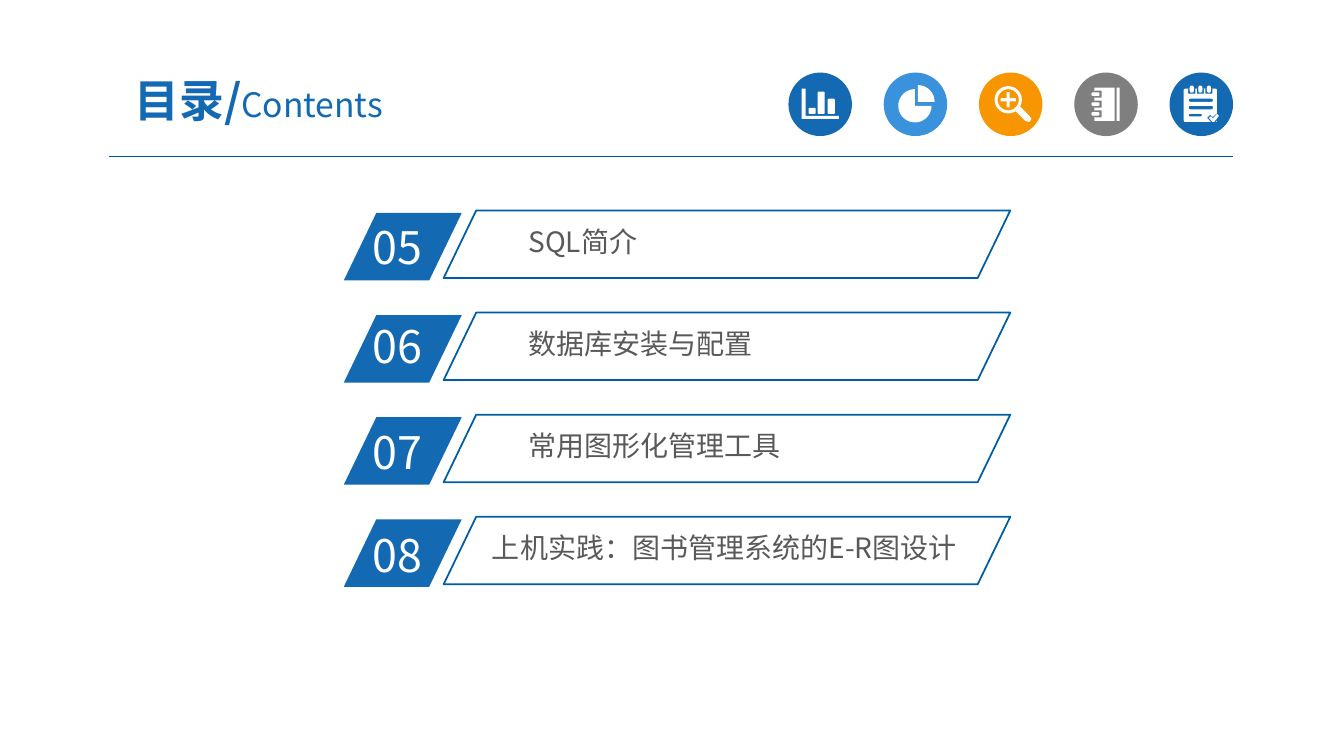
from dataclasses import dataclass
from math import cos, radians, sin

from lxml import etree
from pptx import Presentation
from pptx.dml.color import RGBColor
from pptx.enum.shapes import MSO_CONNECTOR, MSO_SHAPE
from pptx.enum.text import MSO_ANCHOR, MSO_AUTO_SIZE, PP_ALIGN
from pptx.oxml.ns import qn
from pptx.util import Inches, Pt

STRAIGHT = MSO_CONNECTOR.STRAIGHT
OVAL, SLANTED = MSO_SHAPE.OVAL, MSO_SHAPE.PARALLELOGRAM
MIDDLE, TOP = MSO_ANCHOR.MIDDLE, MSO_ANCHOR.TOP
CENTER, LEFT = PP_ALIGN.CENTER, PP_ALIGN.LEFT
FIT_SHAPE = MSO_AUTO_SIZE.SHAPE_TO_FIT_TEXT

CELL = Inches(0.1)  # the slide is a grid of 133.3 columns and 75 rows
COLUMNS, ROWS = 133.3, 75


@dataclass(frozen=True)
class Theme:
    font: str = "Noto Sans CJK SC"
    blue: str = "1369B2"
    sky: str = "3992DB"
    orange: str = "F79600"
    gray: str = "7F7F7F"
    white: str = "FFFFFF"
    body: str = "595959"
    outline: str = "005DA2"
    rule: str = "005B9E"
    large: int = 32
    medium: int = 24
    small: int = 20
    thin: float = 0.75
    thick: float = 1.25


THEME = Theme()


def cells(*values):
    return [round(value * CELL) for value in values]


def arc(x, y, radius, start, end, steps=12):
    """Points of a circular arc; degrees run clockwise from the right."""
    angles = [radians(start + (end - start) * step / steps) for step in range(steps + 1)]
    return [(x + radius * cos(angle), y + radius * sin(angle)) for angle in angles]


def box(left, top, right, bottom, radius=0.0):
    if not radius:
        return [(left, top), (right, top), (right, bottom), (left, bottom)]
    corners = [(right - radius, bottom - radius), (left + radius, bottom - radius),
               (left + radius, top + radius), (right - radius, top + radius)]
    return [point for quarter, (x, y) in enumerate(corners)
            for point in arc(x, y, radius, quarter * 90, quarter * 90 + 90, 4)]


# Each icon is a list of contours, in cells from the corner of its disc.
# A contour inside another one cuts a hole.
def bar_chart_icon():
    axes = [(1.3, 1.6), (1.7, 1.6), (1.7, 4.3), (5, 4.3), (5, 4.6), (1.3, 4.6)]
    bars = [(2, 3.5), (2.9, 1.9), (3.9, 2.6)]
    return [axes] + [box(left, top, left + 0.7, 4.1, 0.1) for left, top in bars]


def pie_chart_icon():
    return [[(3.4, 2.9)] + arc(3.4, 2.9, 1.65, -90, 0),
            [(3.1, 3.3)] + arc(3.1, 3.3, 1.65, 0, 270, 30)]


def magnifier_icon():
    x, y, arm, half = 2.9, 2.7, 0.75, 0.15
    plus = [(x - arm, y - half), (x - half, y - half), (x - half, y - arm),
            (x + half, y - arm), (x + half, y - half), (x + arm, y - half),
            (x + arm, y + half), (x + half, y + half), (x + half, y + arm),
            (x - half, y + arm), (x - half, y + half), (x - arm, y + half)]
    handle = [(3.6, 3.8), (4.1, 3.4), (5, 4.3), (5.2, 4.6), (5, 4.9), (4.6, 4.8)]
    return [arc(x, y, 1.35, 0, 360, 36), arc(x, y, 1.05, 0, 360, 36), plus, handle]


def notebook_icon():
    contours = [box(4.2, 1.5, 4.5, 4.8), box(2, 1.5, 4, 4.8)]
    for middle in (2.15, 3.13, 4.1):
        contours += [box(2, middle - 0.35, 2.7, middle + 0.35),
                     box(1.7, middle - 0.18, 2.5, middle + 0.18, 0.15)]
    return contours


def notepad_icon():
    contours = [box(1.4, 1.6, 4.7, 4.9, 0.15),
                box(1.9, 2.6, 4.3, 2.9, 0.14), box(1.9, 3.3, 4.3, 3.65, 0.15),
                box(1.9, 4.1, 3.2, 4.35, 0.12)]
    for middle in (2.2, 3.05, 3.9):
        contours += [box(middle - 0.35, 1.6, middle + 0.35, 2.1),
                     box(middle - 0.2, 1.3, middle + 0.2, 2, 0.18)]
    check_gap = [(3.7, 4.5), (4, 4.2), (4.3, 4.4), (4.7, 4), (4.7, 4.9), (4.1, 4.9)]
    check = [(3.9, 4.5), (4.1, 4.35), (4.3, 4.55), (4.7, 4.1), (4.9, 4.3), (4.4, 4.9), (4.25, 4.9)]
    return contours + [check_gap, check]


class ContentsSlide:
    def __init__(self, presentation, theme):
        self.theme = theme
        self.shapes = presentation.slides.add_slide(presentation.slide_layouts[6]).shapes

    def paint(self, shape, fill=None, line=None):
        shape.shadow.inherit = False
        if fill:
            shape.fill.solid()
            shape.fill.fore_color.rgb = RGBColor.from_string(fill)
        else:
            shape.fill.background()
        if line:
            shape.line.color.rgb = RGBColor.from_string(line)
            shape.line.width = Pt(self.theme.thick)
        else:
            shape.line.fill.background()

    def preset(self, kind, place, fill=None, line=None, adjustment=None):
        shape = self.shapes.add_shape(kind, *cells(*place))
        if adjustment is not None:
            shape.adjustments[0] = adjustment
        self.paint(shape, fill, line)

    def icon(self, left, top, contours):
        start, *others = [[cells(left + x, top + y) for x, y in contour] for contour in contours]
        builder = self.shapes.build_freeform(*start[0])
        builder.add_line_segments(start[1:], close=True)
        for contour in others:
            builder.move_to(*contour[0])
            builder.add_line_segments(contour[1:], close=True)
        self.paint(builder.convert_to_shape(), self.theme.white)

    def rule(self, left, right, row):
        connector = self.shapes.add_connector(STRAIGHT, *cells(left, row, right, row))
        connector.line.color.rgb = RGBColor.from_string(self.theme.rule)
        connector.line.width = Pt(self.theme.thin)
        etree.SubElement(connector._element.spPr, qn("a:effectLst"))

    def text(self, place, runs, color, insets=(1, 0.5), space_before=0, align=LEFT, **frame_format):
        """Add a one-paragraph text box; runs are (text, size, bold)."""
        frame = self.shapes.add_textbox(*cells(*place)).text_frame
        across, down = cells(*insets)
        values = {"word_wrap": True, "vertical_anchor": TOP, "margin_left": across,
                  "margin_right": across, "margin_top": down, "margin_bottom": down}
        for name, value in {**values, **frame_format}.items():
            setattr(frame, name, value)
        paragraph = frame.paragraphs[0]
        paragraph.alignment = align
        paragraph.space_before = Pt(space_before)
        for text, size, bold in runs:
            run = paragraph.add_run()
            run.text = text
            for name, value in {"name": self.theme.font, "size": Pt(size), "bold": bold}.items():
                setattr(run.font, name, value)
            run.font.color.rgb = RGBColor.from_string(color)
            latin = run.font._element.find(qn("a:latin"))
            latin.addnext(latin.makeelement(qn("a:ea"), {"typeface": self.theme.font}))

    def entry(self, row, number, number_shift, label, label_left, label_width):
        theme = self.theme
        self.preset(SLANTED, (34.1, row, 11.7, 6.7), fill=theme.blue, adjustment=0.482)
        self.text((36, row + number_shift, 11.2, 6.4), [(number, theme.large, False)],
                  theme.white, auto_size=FIT_SHAPE)
        self.text((label_left, row + 0.75, label_width, 4.1), [(label, theme.small, False)],
                  theme.body, insets=(0.7, 0.4), auto_size=FIT_SHAPE)
        self.preset(SLANTED, (44, row - 0.25, 56.2, 6.7), line=theme.outline, adjustment=0.482)


def main():
    presentation = Presentation()
    presentation.slide_width, presentation.slide_height = cells(COLUMNS, ROWS)
    slide = ContentsSlide(presentation, THEME)

    slide.rule(10.8, 122.3, 15.5)
    icons = [(THEME.blue, bar_chart_icon), (THEME.sky, pie_chart_icon),
             (THEME.orange, magnifier_icon), (THEME.gray, notebook_icon),
             (THEME.blue, notepad_icon)]
    for index, (color, contours) in enumerate(icons):
        left, top = 78.2 + 9.45 * index, 7.2
        slide.preset(OVAL, (left, top, 6.3, 6.3), fill=color)
        slide.icon(left, top, contours())

    slide.text((9.2, 6.3, 32.9, 7.2),
               [("目录/", THEME.large, True), ("Contents", THEME.medium, False)],
               THEME.blue, insets=(1.3, 0.7), space_before=6, align=CENTER,
               vertical_anchor=MIDDLE)

    entries = [("05", 0.2, "SQL简介", 51.7, 41.2),
               ("06", -0.1, "数据库安装与配置", 51.7, 41.2),
               ("07", 0.3, "常用图形化管理工具", 51.7, 41.2),
               ("08", 0.3, "上机实践：图书管理系统的E-R图设计", 48.1, 49.3)]
    for index, entry in enumerate(entries):
        slide.entry(21.13 + 10.13 * index, *entry)

    presentation.save("out.pptx")


if __name__ == "__main__":
    main()
